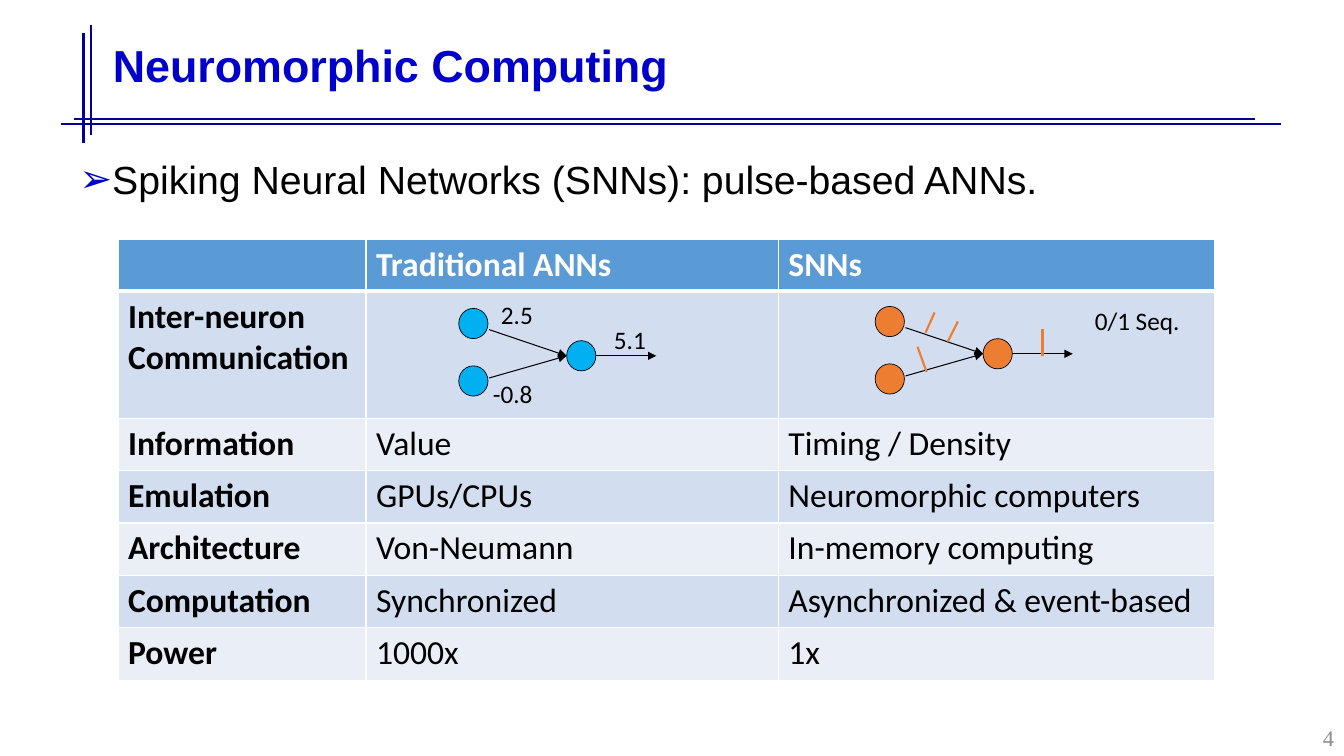
from dataclasses import dataclass

from pptx import Presentation
from pptx.dml.color import RGBColor
from pptx.enum import shapes, text
from pptx.oxml.ns import qn
from pptx.util import Emu, Pt
from lxml import etree

PX = 9144  # 100 px to the inch


@dataclass(frozen=True)
class Theme:
    rule: str = "000099"
    title: str = "0000CC"
    ink: str = "000000"
    white: str = "FFFFFF"
    muted: str = "8C8C8C"
    header: str = "5B9BD5"
    bands: tuple = ("D2DEEF", "EAEFF7")
    analog: str = "00B0F0"
    spiking: str = "ED7D31"
    sans: str = "Arial"
    table_font: str = "Calibri"
    serif: str = "Times New Roman"
    title_size: int = 32
    body_size: int = 28
    table_size: int = 24
    label_size: int = 18
    number_size: int = 16


THEME = Theme()

ROWS = [
    ("", "Traditional ANNs", "SNNs"),
    ("Inter-neuron\nCommunication", "", ""),
    ("Information", "Value", "Timing / Density"),
    ("Emulation", "GPUs/CPUs", "Neuromorphic computers"),
    ("Architecture", "Von-Neumann", "In-memory computing"),
    ("Computation", "Synchronized", "Asynchronized & event-based"),
    ("Power", "1000x", "1x"),
]
COLUMN_WIDTHS = (246, 409, 433)
ROW_HEIGHTS = (51, 126) + (52,) * 5


def px(*lengths):
    return [Emu(length * PX) for length in lengths]


def color(code):
    return RGBColor.from_string(code)


def style(para, size, font, code, bold=False):
    for span in para.runs:
        span.font.size = Pt(size)
        span.font.name = font
        span.font.bold = bold
        span.font.color.rgb = color(code)


def add_text(parent, place, words, size, font, code, bold=False,
             anchor=text.MSO_ANCHOR.TOP, wrap=True):
    """Add a one-paragraph text box and return the paragraph."""
    box = parent.add_textbox(*px(*place))
    frame = box.text_frame
    frame.text = words
    frame.word_wrap = wrap
    frame.vertical_anchor = anchor
    style(frame.paragraphs[0], size, font, code, bold)
    return frame.paragraphs[0]


def add_label(parent, place, words):
    add_text(parent, place, words, THEME.label_size, THEME.table_font,
             THEME.ink, wrap=False)


def add_line(parent, start, end, code, width, arrow=False):
    line = parent.add_connector(shapes.MSO_CONNECTOR.STRAIGHT,
                                *px(*start, *end))
    line.line.color.rgb = color(code)
    line.line.width = Pt(width)
    properties = line._element.spPr
    if arrow:
        etree.SubElement(properties.find(qn("a:ln")), qn("a:tailEnd"),
                         type="triangle")
    etree.SubElement(properties, qn("a:effectLst"))


def add_bullet(para, symbol, code, indent):
    properties = para._p.get_or_add_pPr()
    properties.set("marL", str(indent * PX))
    properties.set("indent", str(-indent * PX))
    bullet_color = etree.SubElement(properties, qn("a:buClr"))
    etree.SubElement(bullet_color, qn("a:srgbClr"), val=code)
    etree.SubElement(properties, qn("a:buFont"), typeface=THEME.sans)
    etree.SubElement(properties, qn("a:buChar"), char=symbol)


def add_border(cell, side, width):
    border = etree.SubElement(cell._tc.get_or_add_tcPr(), qn(f"a:ln{side}"),
                              w=str(Pt(width)))
    fill = etree.SubElement(border, qn("a:solidFill"))
    etree.SubElement(fill, qn("a:srgbClr"), val=THEME.white)


def fill_cell(cell, words, row, column):
    header = row == 0
    for side in "LRTB":
        thick = (row, side) in ((0, "B"), (1, "T"))
        add_border(cell, side, 3 if thick else 1)
    cell.fill.solid()
    cell.fill.fore_color.rgb = color(
        THEME.header if header else THEME.bands[(row - 1) % 2])
    cell.text_frame.text = words
    for para in cell.text_frame.paragraphs:
        style(para, THEME.table_size, THEME.table_font,
              THEME.white if header else THEME.ink, header or column == 0)


def add_comparison(page):
    table = page.shapes.add_table(
        len(ROWS), len(COLUMN_WIDTHS),
        *px(117, 238, sum(COLUMN_WIDTHS), sum(ROW_HEIGHTS))).table
    for column, width in zip(table.columns, px(*COLUMN_WIDTHS)):
        column.width = width
    for row, height in zip(table.rows, px(*ROW_HEIGHTS)):
        row.height = height
    for row, entries in enumerate(ROWS):
        for column, words in enumerate(entries):
            fill_cell(table.cell(row, column), words, row, column)


def add_network(page, left, top, code):
    """Draw two input neurons feeding one output neuron; return the group."""
    parts = page.shapes.add_group_shape().shapes
    for start, end in (((30, 21), (107, 47)), ((30, 69), (107, 47)),
                       ((136, 47), (196, 47))):
        add_line(parts, (left + start[0], top + start[1]),
                 (left + end[0], top + end[1]), THEME.ink, 0.75, arrow=True)
    for x, y in ((0, 0), (0, 57), (107, 32)):
        neuron = parts.add_shape(shapes.MSO_SHAPE.OVAL,
                                 *px(left + x, top + y, 29, 30))
        neuron.shadow.inherit = False
        neuron.fill.solid()
        neuron.fill.fore_color.rgb = color(code)
        neuron.line.color.rgb = color(THEME.ink)
        neuron.line.width = Pt(0.5)
    return parts


def add_frame_rules(page):
    for start, end in (((73, 118), (1245, 118)), ((61, 123), (1271, 123)),
                       ((83, 33), (83, 142)), ((90, 25), (90, 134))):
        add_line(page.shapes, start, end, THEME.rule, 1.75)


def main():
    deck = Presentation()
    deck.slide_width, deck.slide_height = px(1333, 750)
    page = deck.slides.add_slide(deck.slide_layouts[6])

    add_frame_rules(page)
    title = add_text(page.shapes, (102, 5, 1118, 125),
                     "Neuromorphic Computing", THEME.title_size, THEME.sans,
                     THEME.title, True, text.MSO_ANCHOR.MIDDLE)
    title.line_spacing = 0.9
    number = add_text(page.shapes, (1273, 713, 60, 37), "4",
                      THEME.number_size, THEME.serif, THEME.muted,
                      anchor=text.MSO_ANCHOR.MIDDLE)
    number.alignment = text.PP_ALIGN.RIGHT
    point = add_text(page.shapes, (69, 154, 1210, 60),
                     "Spiking Neural Networks (SNNs): pulse-based ANNs.",
                     THEME.body_size, THEME.sans, THEME.ink)
    add_bullet(point, "➢", THEME.title, 25)
    point.line_spacing = 0.9

    add_comparison(page)
    analog = add_network(page, 455, 306, THEME.analog)
    add_label(analog, (487, 292, 52, 42), "2.5")
    add_label(analog, (479, 370, 60, 42), "-0.8")
    add_label(analog, (599, 317, 52, 42), "5.1")

    spiking = add_network(page, 868, 304, THEME.spiking)
    for start, end in (((910, 344), (919, 369)), ((950, 319), (940, 339)),
                       ((1034, 326), (1034, 353)), ((927, 310), (918, 330))):
        add_line(spiking, start, end, THEME.spiking, 1.5)
    add_label(page.shapes, (1076, 298, 105, 40), "0/1 Seq.")
    deck.save("out.pptx")


if __name__ == "__main__":
    main()
